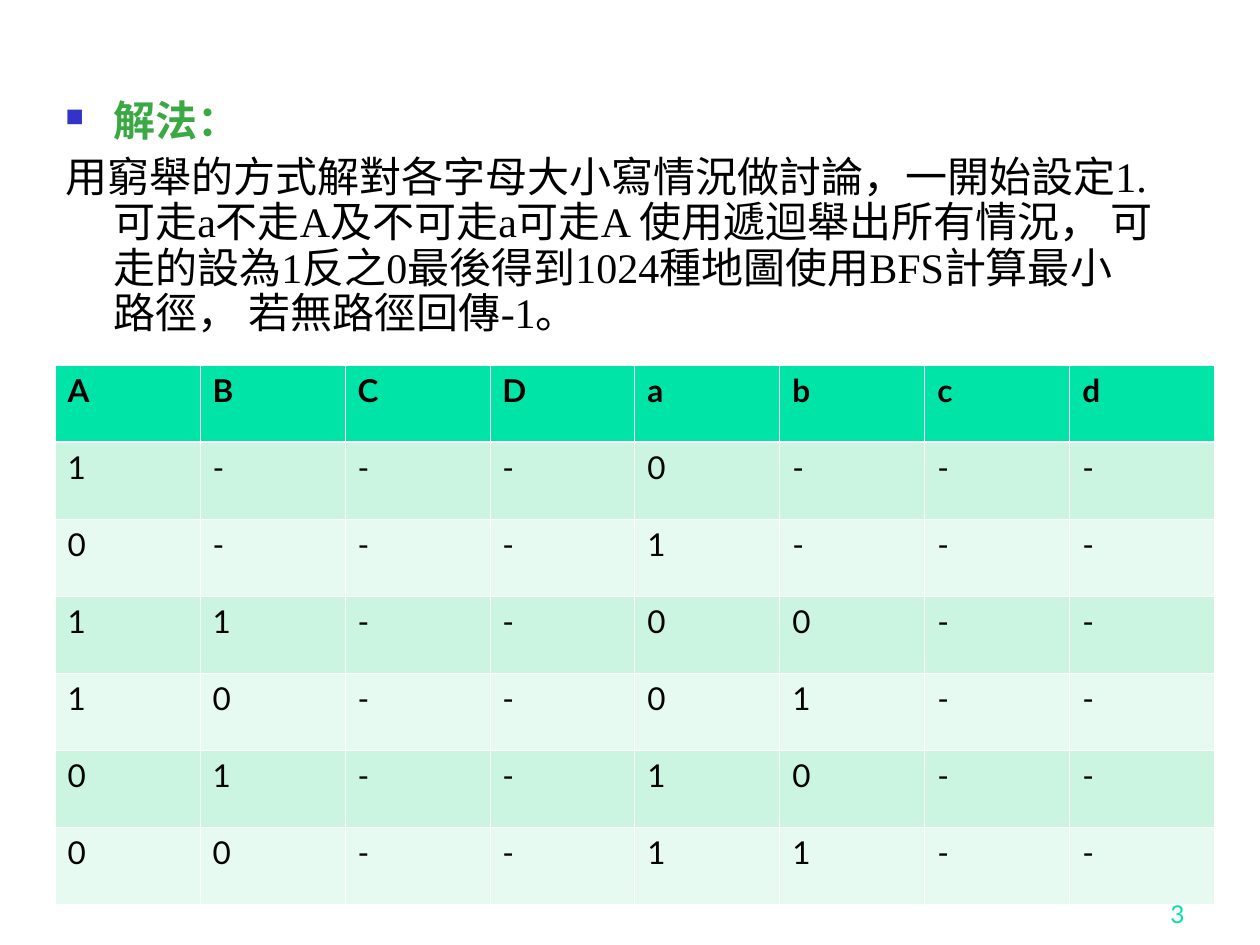
from lxml import etree
from pptx import Presentation
from pptx.dml.color import RGBColor
from pptx.enum.text import MSO_ANCHOR, PP_ALIGN
from pptx.oxml.ns import qn
from pptx.util import Emu, Pt

PX = 7257  # EMU in one px, 126 px to the inch
RIGHT = PP_ALIGN.RIGHT
BOTTOM = MSO_ANCHOR.BOTTOM

COLORS = {
    "heading": "3BA943",
    "bullet": "3333CC",
    "text": "000000",
    "accent": "00E4A8",
    "band_dark": "CBF5E1",
    "band_light": "E7FAF1",
    "grid": "FFFFFF",
}
SERIF, SANS = "Times New Roman", "Lato"

HEADING = "解法："
EXPLANATION = (
    "用窮舉的方式解對各字母大小寫情況做討論，一開始設定1.可走a不走A及不可走a可走A "
    "使用遞迴舉出所有情況， 可走的設為1反之0最後得到1024種地圖使用BFS計算最小路徑， "
    "若無路徑回傳-1。"
)
PAGE_NUMBER = "3"
LETTER_STATES = ["ABCDabcd", "1---0---", "0---1---", "11--00--",
                 "10--01--", "01--10--", "00--11--"]

SLIDE_SIZE = (1260, 945)
PAGE_NUMBER_BOX = (935, 872, 262, 63)
BODY_BOX = (53, 94, 1113, 775)
TABLE_LEFT, TABLE_TOP = 55, 365
COLUMN_WIDTH, ROW_HEIGHT = 145, 77
HANGING_INDENT = 48
THIN, THICK = Pt(0.45), Pt(1.47)


def px(length):
    return Emu(length * PX)


def add_run(paragraph, text, size, font, color, bold=False):
    run = paragraph.add_run()
    run.text = text
    run.font.size = Pt(size)
    run.font.name = font
    run.font.bold = bold
    run.font.color.rgb = RGBColor.from_string(COLORS[color])


def add_frame(slide, box):
    frame = slide.shapes.add_textbox(*map(px, box)).text_frame
    frame.word_wrap = True
    return frame


def hang(paragraph):
    properties = paragraph._p.get_or_add_pPr()
    properties.set("marL", str(px(HANGING_INDENT)))
    properties.set("indent", str(-px(HANGING_INDENT)))
    paragraph.line_spacing = 0.9
    return properties


def add_square_bullet(properties):
    color = etree.SubElement(properties, qn("a:buClr"))
    etree.SubElement(color, qn("a:srgbClr"), val=COLORS["bullet"])
    etree.SubElement(properties, qn("a:buSzPct"), val="60000")
    etree.SubElement(properties, qn("a:buChar"), char="■")


def add_borders(cell, widths):
    """Draw cell borders; widths maps each side tag to its line width."""
    properties = cell._tc.get_or_add_tcPr()
    for side, width in widths.items():
        line = etree.SubElement(properties, qn(f"a:{side}"), w=str(width))
        fill = etree.SubElement(line, qn("a:solidFill"))
        etree.SubElement(fill, qn("a:srgbClr"), val=COLORS["grid"])


def add_explanation(slide):
    frame = add_frame(slide, BODY_BOX)
    heading = frame.paragraphs[0]
    add_square_bullet(hang(heading))
    add_run(heading, HEADING, 24, SERIF, "heading", bold=True)
    explanation = frame.add_paragraph()
    hang(explanation)
    explanation.space_before = Pt(6)
    add_run(explanation, EXPLANATION, 24, SERIF, "text")


def add_state_table(slide):
    row_count, column_count = len(LETTER_STATES), len(LETTER_STATES[0])
    table = slide.shapes.add_table(
        row_count, column_count, px(TABLE_LEFT), px(TABLE_TOP),
        px(COLUMN_WIDTH * column_count), px(ROW_HEIGHT * row_count)).table
    for r, states in enumerate(LETTER_STATES):
        is_header = r == 0
        band = "accent" if is_header else "band_dark" if r % 2 else "band_light"
        borders = {"lnL": THIN, "lnR": THIN,
                   "lnT": THICK if r == 1 else THIN,
                   "lnB": THICK if is_header else THIN}
        for c, state in enumerate(states):
            cell = table.cell(r, c)
            add_borders(cell, borders)
            cell.fill.solid()
            cell.fill.fore_color.rgb = RGBColor.from_string(COLORS[band])
            add_run(cell.text_frame.paragraphs[0], state, 18, SANS, "text", is_header)


def add_page_number(slide):
    frame = add_frame(slide, PAGE_NUMBER_BOX)
    frame.vertical_anchor = BOTTOM
    frame.paragraphs[0].alignment = RIGHT
    add_run(frame.paragraphs[0], PAGE_NUMBER, 14, SANS, "accent")


def main():
    deck = Presentation()
    deck.slide_width, deck.slide_height = map(px, SLIDE_SIZE)
    slide = deck.slides.add_slide(deck.slide_layouts[6])
    add_page_number(slide)
    add_explanation(slide)
    add_state_table(slide)
    deck.save("out.pptx")


if __name__ == "__main__":
    main()
